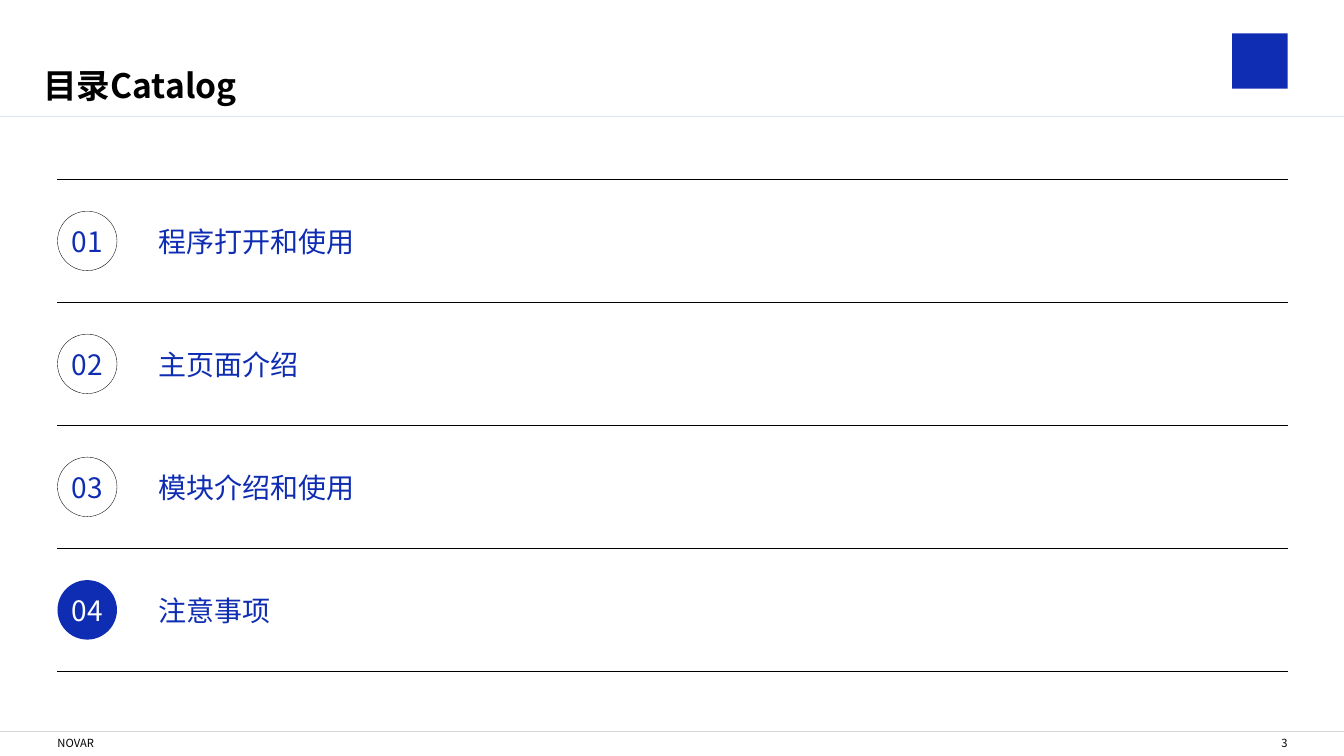
import pptx
import pptx.util
import pptx.dml.color
import pptx.enum.shapes
import pptx.enum.text
import pptx.oxml.ns
import lxml.etree

Inches = pptx.util.Inches
Pt = pptx.util.Pt
SHAPE = pptx.enum.shapes.MSO_SHAPE
ALIGN = pptx.enum.text.PP_ALIGN
FONT = "Noto Sans CJK SC"
BLUE, BLACK, WHITE = "0F2DB3", "000000", "FFFFFF"
TOPICS = ["程序打开和使用", "主页面介绍", "模块介绍和使用", "注意事项"]
ACTIVE = 4


def tint(text):
    return pptx.dml.color.RGBColor.from_string(text)


def add_tag(parent, name):
    return lxml.etree.SubElement(parent, pptx.oxml.ns.qn(name))


def write(shape, text, size, color, align=ALIGN.LEFT, bold=False, wrap=True):
    """Put one run, centred in height and without margins, into the shape."""
    frame = shape.text_frame
    frame.margin_left = frame.margin_right = 0
    frame.margin_top = frame.margin_bottom = 0
    frame.word_wrap = wrap
    frame.auto_size = pptx.enum.text.MSO_AUTO_SIZE.NONE
    frame.vertical_anchor = pptx.enum.text.MSO_ANCHOR.MIDDLE
    para = frame.paragraphs[0]
    para.alignment = align
    run = para.add_run()
    run.text = text
    font = run.font
    font.name, font.size, font.bold = FONT, Pt(size), bold
    font.color.rgb = tint(color)
    add_tag(font._element, "a:ea").set("typeface", FONT)


def add_text(slide, box, *args, **kwargs):
    write(slide.shapes.add_textbox(*map(Inches, box)), *args, **kwargs)


def add_rule(slide, left, top, width, color):
    line = slide.shapes.add_connector(
        pptx.enum.shapes.MSO_CONNECTOR.STRAIGHT,
        Inches(left), Inches(top), Inches(left + width), Inches(top))
    line.line.color.rgb = tint(color)
    line.line.width = Pt(0.5)
    add_tag(line._element.spPr, "a:effectLst")


def add_shape(slide, kind, box, fill=None):
    """Add a flat shape: filled, or hollow with a thin black outline."""
    shape = slide.shapes.add_shape(kind, *map(Inches, box))
    shape.shadow.inherit = False
    if fill:
        shape.fill.solid()
        shape.fill.fore_color.rgb = tint(fill)
        shape.line.fill.background()
    else:
        shape.fill.background()
        shape.line.color.rgb = tint(BLACK)
        shape.line.width = Pt(0.25)
    return shape


def add_header(slide, left, top, width, height):
    add_rule(slide, left, top + height, width, "DCE3E9")
    add_shape(slide, SHAPE.RECTANGLE,
              (left + width - 1.11, top + 0.33, 0.55, 0.55), BLUE)
    title = slide.shapes.title
    title.left, title.top = Inches(left + 0.43), Inches(top + 0.64)
    title.width, title.height = Inches(10.65), Inches(0.4)
    write(title, "目录Catalog", 24, BLACK, bold=True)


def add_topic(slide, left, top, height, number, text):
    """Add a numbered circle and its topic, centred in the row."""
    size, label = 0.59, 0.34
    active = number == ACTIVE
    badge = add_shape(slide, SHAPE.OVAL,
                      (left, top + (height - size) / 2, size, size),
                      BLUE if active else None)
    write(badge, f"{number:02}", 20, WHITE if active else BLUE, ALIGN.CENTER)
    add_text(slide, (left + 1, top + (height - label) / 2, 0.28 * len(text), label),
             text, 20, BLUE, wrap=False)


def add_agenda(slide, left, top, width, height):
    step = height / len(TOPICS)
    for i in range(len(TOPICS) + 1):
        add_rule(slide, left, top + i * step, width, BLACK)
    for i, text in enumerate(TOPICS):
        add_topic(slide, left, top + i * step, step, i + 1, text)


def add_footer(slide, left, top, width, height):
    add_rule(slide, left, top, width, "D6D6D6")
    line = top + 0.05
    add_text(slide, (left + 0.57, line, 5.94, height), "NOVAR", 8, BLACK)
    add_text(slide, (left + width - 0.8, line, 0.24, height), "3", 8, BLACK,
             align=ALIGN.RIGHT)


def main():
    deck = pptx.Presentation()
    deck.slide_width, deck.slide_height = Inches(13.33), Inches(7.5)
    slide = deck.slides.add_slide(deck.slide_layouts[5])
    add_header(slide, 0, 0, 13.33, 1.15)
    add_agenda(slide, 0.57, 1.78, 12.2, 4.88)
    add_footer(slide, 0, 7.26, 13.33, 0.13)
    deck.save("out.pptx")


if __name__ == "__main__":
    main()
